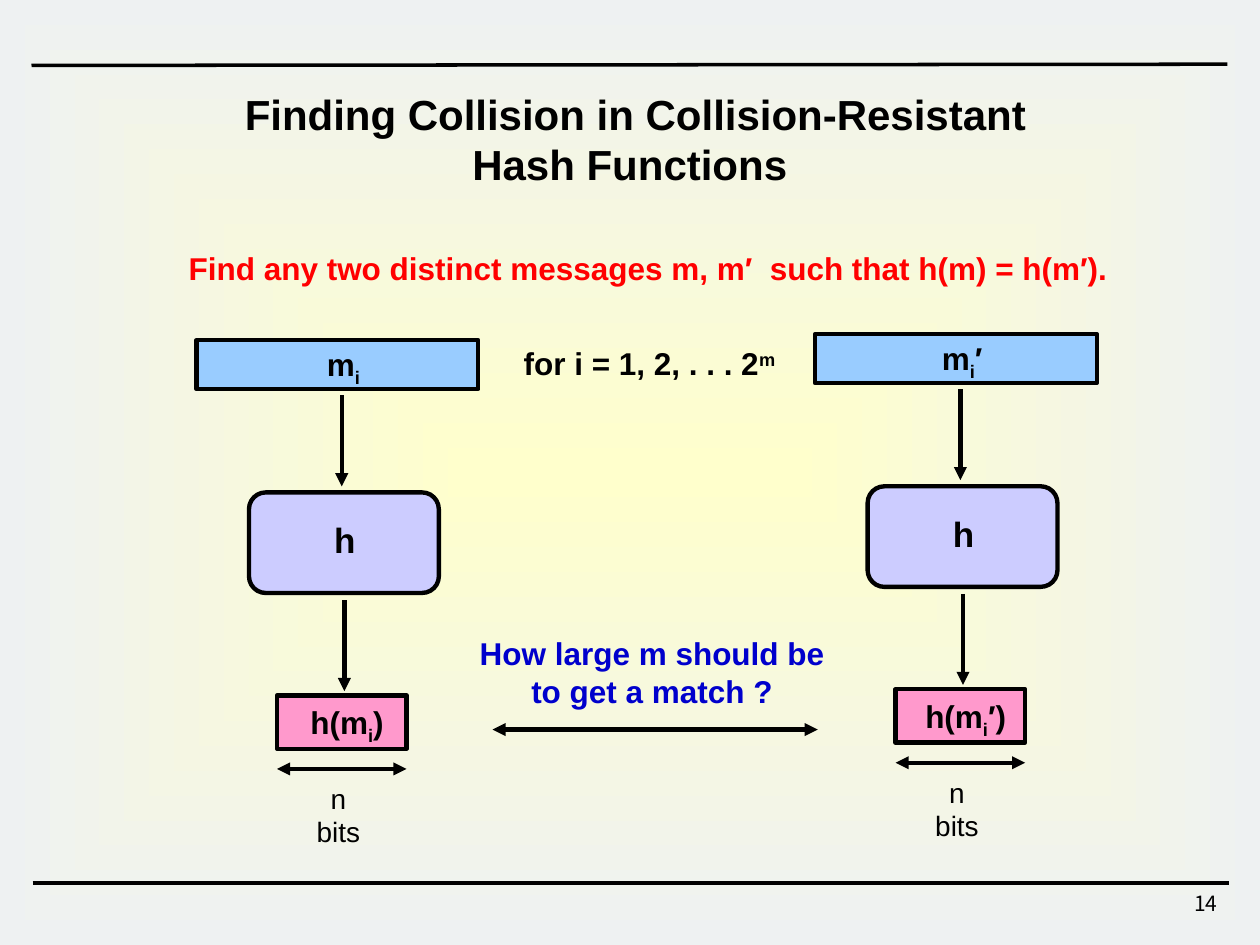
from dataclasses import dataclass

from lxml.etree import SubElement
from pptx import Presentation
from pptx.dml.color import RGBColor as RGB
from pptx.enum.shapes import MSO_CONNECTOR as Link, MSO_SHAPE as Form
from pptx.enum.text import MSO_AUTO_SIZE as Fit, PP_ALIGN as Align
from pptx.oxml.ns import qn
from pptx.util import Pt

WIDTH, HEIGHT = 720, 540
SUB, SUPER = -25000, 30000


@dataclass(frozen=True)
class Theme:
    glow: str = "FFFFCC"
    edge: str = "EEF1F2"
    ink: str = "000000"
    goal: str = "FF0000"
    question: str = "0000CC"
    message: str = "99CCFF"
    function: str = "CCCCFF"
    digest: str = "FF99CC"
    face: str = "Arial"
    number_face: str = "Noto Sans CJK KR"
    title: int = 24
    symbol: int = 20
    body: int = 18
    note: int = 16
    number: int = 12
    rule: float = 2
    stroke: float = 2.5


class SlideBuilder:
    def __init__(self, slide, theme):
        self.shapes = slide.shapes
        self.theme = theme

    def backdrop(self):
        """Cover the slide with a gradient that spreads from its centre."""
        cover = self.shapes.add_shape(Form.RECTANGLE, 0, 0, Pt(WIDTH), Pt(HEIGHT))
        cover.shadow.inherit = False
        cover.line.fill.background()
        cover.fill.gradient()
        for stop, color in zip(cover.fill.gradient_stops, (self.theme.glow, self.theme.edge)):
            stop.color.rgb = RGB.from_string(color)
        gradient = cover.fill._xPr.find(qn("a:gradFill"))
        gradient.remove(gradient.find(qn("a:lin")))
        spread = SubElement(gradient, qn("a:path"), path="shape")
        SubElement(spread, qn("a:fillToRect"), l="50000", t="50000", r="50000", b="50000")

    def box(self, left, top, width, height, color, form=Form.RECTANGLE):
        box = self.shapes.add_shape(form, Pt(left), Pt(top), Pt(width), Pt(height))
        box.shadow.inherit = False
        box.fill.solid()
        box.fill.fore_color.rgb = RGB.from_string(color)
        box.line.color.rgb = RGB.from_string(self.theme.ink)
        box.line.width = Pt(self.theme.stroke)

    def line(self, x1, y1, x2, y2, weight=None, heads=()):
        """Draw a line; heads may hold headEnd (start) and tailEnd (end)."""
        line = self.shapes.add_connector(Link.STRAIGHT, Pt(x1), Pt(y1), Pt(x2), Pt(y2))
        line.line.color.rgb = RGB.from_string(self.theme.ink)
        line.line.width = Pt(weight or self.theme.stroke)
        outline = line.line._get_or_add_ln()
        for head in heads:
            SubElement(outline, qn(f"a:{head}"), type="triangle")
        SubElement(line._element.spPr, qn("a:effectLst"))

    def arrow(self, x, y1, y2):
        self.line(x, y1, x, y2, heads=("tailEnd",))

    def span(self, x1, x2, y):
        self.line(x1, y, x2, y, heads=("headEnd", "tailEnd"))

    def text(self, center, top, width, height, runs, size, color=None, bold=True,
             wrap=False, inset=(0, 0), face=None, align=Align.CENTER, spacing=None):
        """Place one paragraph of (text, baseline) runs around a centre line."""
        area = self.shapes.add_textbox(Pt(center - width / 2), Pt(top), Pt(width), Pt(height))
        frame = area.text_frame
        frame.word_wrap = wrap
        frame.auto_size = Fit.SHAPE_TO_FIT_TEXT
        frame.margin_left = frame.margin_right = Pt(inset[0])
        frame.margin_top = frame.margin_bottom = Pt(inset[1])
        paragraph = frame.paragraphs[0]
        paragraph.alignment = align
        if spacing:
            paragraph.line_spacing = spacing
        for words, baseline in runs:
            run = paragraph.add_run()
            run.text = words
            if baseline:
                run.font._element.set("baseline", str(baseline))
        font = paragraph.font
        font.name = face or self.theme.face
        font.size = Pt(size)
        font.bold = bold
        font.color.rgb = RGB.from_string(color or self.theme.ink)

    def hash_column(self, x, y, prime, message_width, digest_width):
        """Draw message, hash function and digest from the message's corner."""
        theme = self.theme
        axis = x + 84
        self.box(x, y, 161, 28, theme.message)
        self.box(x + 46, y + 203, 74, 30.5, theme.digest)
        self.box(x + 30, y + 87, 108.5, 57.5, theme.function, Form.ROUNDED_RECTANGLE)
        self.text(axis + 0.7, y + 102, 12, 24, [("h", 0)], theme.symbol)
        self.arrow(axis - 1, y + 31.5, y + 83.5)
        self.arrow(axis + 0.5, y + 148.5, y + 200.5)
        message = [("m", 0), ("i", SUB)] + ([(prime, 0)] if prime else [])
        self.text(axis, y + 3, message_width, 21.6, message, theme.body)
        digest = [("h(m", 0), ("i", SUB), (f"{prime}) ", 0)]
        self.text(axis + 2, y + 207.5, digest_width, 21.6, digest, theme.body)
        self.span(x + 46, x + 120, y + 245)
        self.text(axis - 3, y + 252, 38, 19.4, [("n bits", 0)], theme.note, bold=False)


def main():
    deck = Presentation()
    deck.slide_width, deck.slide_height = Pt(WIDTH), Pt(HEIGHT)
    theme = Theme()
    page = SlideBuilder(deck.slides.add_slide(deck.slide_layouts[6]), theme)

    page.backdrop()
    page.line(18, 37.4, 701.3, 36.7, theme.rule)
    page.line(18.7, 504.7, 702, 504.7, theme.rule)
    page.text(627.8, 505.4, 150, 23.8, [("14", 0)], theme.number, bold=False, wrap=True,
              inset=(7.2, 3.6), face=theme.number_face, align=Align.RIGHT)
    page.text(363.2, 46.8, 522, 64.8,
              [("Finding Collision in Collision-Resistant Hash Functions ", 0)],
              theme.title, wrap=True, inset=(7.2, 3.6))
    page.text(370.4, 138.2, 542, 26,
              [("Find any two distinct messages m, m′  such that h(m) = h(m′).", 0)],
              theme.body, theme.goal, wrap=True, spacing=1.2)

    page.hash_column(112.3, 194.4, "", 19.4, 46.8)
    page.hash_column(465.8, 190.9, "′", 23.8, 51)

    page.text(372.6, 196.6, 150.5, 21.6, [("for i = 1, 2, . . . 2", 0), ("m ", SUPER)], theme.body)
    page.span(281.5, 467.3, 416.9)
    page.text(372.6, 362.2, 215.3, 43.2, [("How large m should be to get a match ?", 0)],
              theme.body, theme.question, wrap=True)

    deck.save("out.pptx")


if __name__ == "__main__":
    main()
